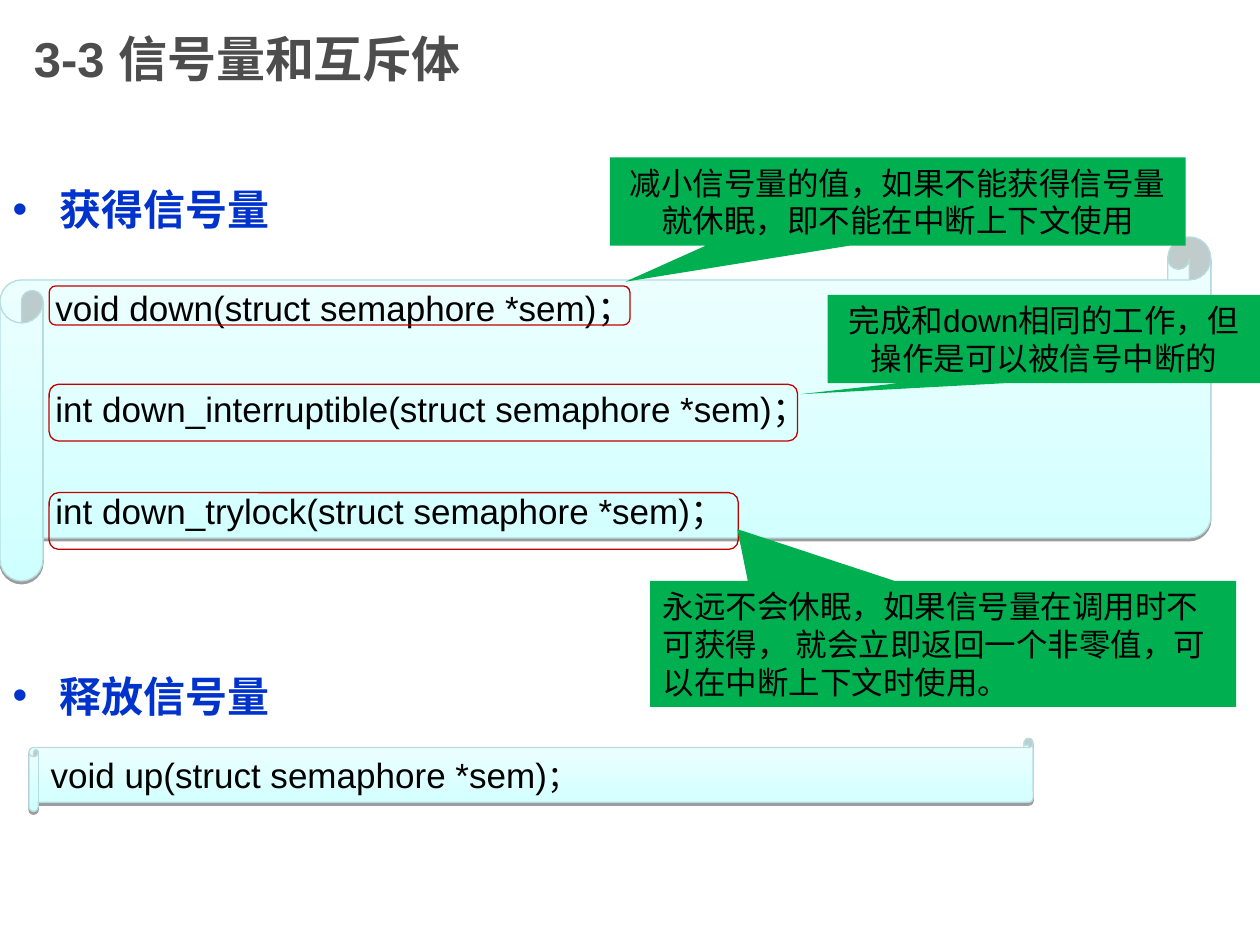
from lxml import etree
from pptx import Presentation
from pptx.dml.color import RGBColor
from pptx.enum import shapes, text
from pptx.oxml import ns
from pptx.util import Pt


def rgb(color):
    return RGBColor.from_string(color)


def style(p, size, color, bold=False):
    """Format every run of a paragraph."""
    for r in p.runs:
        r.font.name = "Arial"
        r.font.size = Pt(size)
        r.font.bold = bold
        r.font.color.rgb = rgb(color)


prs = Presentation()
prs.slide_width, prs.slide_height = Pt(720), Pt(540)
s = prs.slides.add_slide(prs.slide_layouts[1])

# Title
title = s.shapes.title
title.left, title.top, title.width, title.height = Pt(12.2), Pt(0), Pt(540), Pt(66.2)
tf = title.text_frame
tf.text = "3-3 信号量和互斥体"
tf.auto_size = text.MSO_AUTO_SIZE.NONE
tf.vertical_anchor = text.MSO_ANCHOR.MIDDLE
tf.paragraphs[0].alignment = text.PP_ALIGN.LEFT
style(tf.paragraphs[0], 28, "4D4D4D", True)

# Two section headings, with room for the code between them
body = s.placeholders[1]
body.left, body.top, body.width, body.height = Pt(0), Pt(101.5), Pt(705.6), Pt(320.4)
tf = body.text_frame
tf.text = "获得信号量\n释放信号量"
tf.auto_size = text.MSO_AUTO_SIZE.NONE
for p, gap in zip(tf.paragraphs, (6, 249)):
    p.space_before = Pt(gap)
    pPr = p._p.get_or_add_pPr()
    pPr.set("marL", str(Pt(26.6)))
    pPr.set("indent", str(Pt(-26.6)))
    style(p, 24, "0033CC", True)

# Scrolls with code: left, top, width, height, gap between lines, lines
acquire = [
    "void down(struct semaphore *sem)；",
    "int down_interruptible(struct semaphore *sem)；",
    "int down_trylock(struct semaphore *sem)；",
]
scrolls = [
    (0, 135.4, 691.9, 196.6, 34, acquire),
    (16.6, 421.9, 573.8, 41.8, 4.5, ["void up(struct semaphore *sem)"]),
]
for left, top, width, height, gap, lines in scrolls:
    sp = s.shapes.add_shape(shapes.MSO_SHAPE.HORIZONTAL_SCROLL,
                            Pt(left), Pt(top), Pt(width), Pt(height))
    sp.fill.gradient()
    sp.fill.gradient_angle = 90
    for stop, color in zip(sp.fill.gradient_stops, ("CFFFFF", "F0FFFF")):
        stop.color.rgb = rgb(color)
    sp.line.color.rgb = rgb("B6DCDF")
    sp.line.width = Pt(0.75)
    sp.shadow.inherit = False
    effects = sp._element.spPr.find(ns.qn("a:effectLst"))
    shadow = etree.SubElement(effects, ns.qn("a:outerShdw"), dist=str(Pt(1.6)),
                              dir="5400000", rotWithShape="0")
    black = etree.SubElement(shadow, ns.qn("a:srgbClr"), val="000000")
    etree.SubElement(black, ns.qn("a:alpha"), val="38000")
    tf = sp.text_frame
    tf.text = "\n".join(lines)
    tf.word_wrap = True
    tf.vertical_anchor = text.MSO_ANCHOR.TOP
    for i, p in enumerate(tf.paragraphs):
        p.alignment = text.PP_ALIGN.LEFT
        p.space_before = Pt(gap if i else 5)
        style(p, 20, "000000")

# The last code line ends in a smaller semicolon
r = p.add_run()
r.text = "；"
style(p, 20, "000000")
r.font.size = Pt(18)

# Red frames around the calls
for top, width, height in [(163.4, 331.9, 22.3), (219.6, 427.7, 32.4), (281.5, 393.8, 32.4)]:
    sp = s.shapes.add_shape(shapes.MSO_SHAPE.ROUNDED_RECTANGLE,
                            Pt(28.1), Pt(top), Pt(width), Pt(height))
    sp.fill.background()
    sp.line.color.rgb = rgb("C00000")
    sp.line.width = Pt(0.75)
    sp.shadow.inherit = False

# Green callouts: left, top, width, height, pointer, alignment, text
CENTER, LEFT = text.PP_ALIGN.CENTER, text.PP_ALIGN.LEFT
callouts = [
    (348.5, 90, 329, 50.4, (-0.473, 0.909), CENTER,
     "减小信号量的值，如果不能获得信号量就休眠，即不能在中断上下文使用"),
    (473, 168.5, 247, 50.4, (-0.563, 0.627), CENTER,
     "完成和down相同的工作，但操作是可以被信号中断的"),
    (371.5, 331.9, 334.8, 72, (-0.351, -0.91), LEFT,
     "永远不会休眠，如果信号量在调用时不可获得， 就会立即返回一个非零值，可以在中断上下文时使用。"),
]
for left, top, width, height, pointer, align, note in callouts:
    sp = s.shapes.add_shape(shapes.MSO_SHAPE.RECTANGULAR_CALLOUT,
                            Pt(left), Pt(top), Pt(width), Pt(height))
    sp.adjustments[0], sp.adjustments[1] = pointer
    sp.fill.solid()
    sp.fill.fore_color.rgb = rgb("00B050")
    sp.line.fill.background()
    sp.shadow.inherit = False
    tf = sp.text_frame
    tf.text = note
    tf.word_wrap = True
    tf.vertical_anchor = text.MSO_ANCHOR.TOP
    p = tf.paragraphs[0]
    p.alignment = align
    style(p, 18, "000000")

prs.save("out.pptx")
